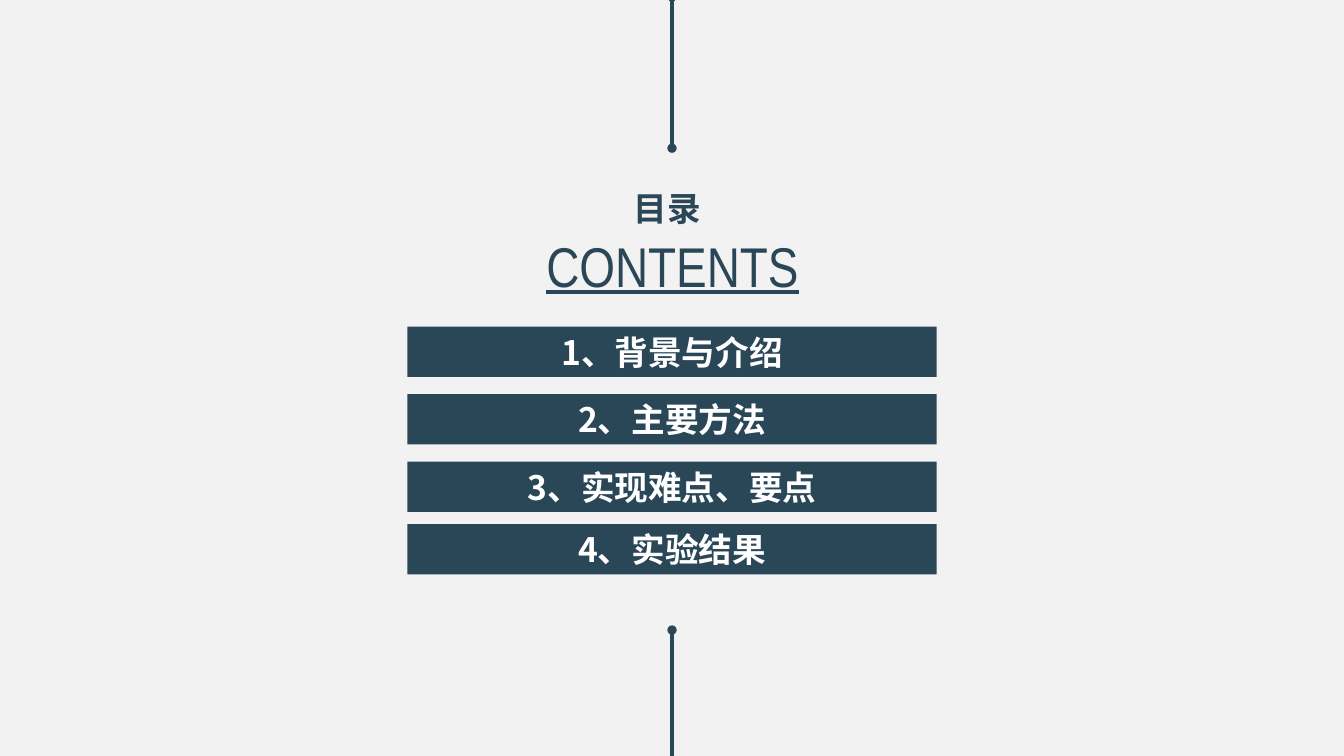
import lxml.etree
import pptx
import pptx.dml.color
import pptx.enum.shapes
import pptx.enum.text
import pptx.oxml.ns
import pptx.util

NAVY = pptx.dml.color.RGBColor(0x2A, 0x47, 0x58)
WHITE = pptx.dml.color.RGBColor(0xFF, 0xFF, 0xFF)
PALE = pptx.dml.color.RGBColor(0xF2, 0xF2, 0xF2)
CJK, LATIN = "Noto Sans CJK SC", "Arial Narrow"
WIDTH, HEIGHT = 13.33, 7.5
BAR_HEIGHT = 0.5
TOPICS = [
    (0, "1、背景与介绍"),
    (0.67, "2、主要方法"),
    (1.34, "3、实现难点、要点"),
    (1.96, "4、实验结果"),
]


def inches(*lengths):
    """Convert lengths in inches to slide units."""
    return [pptx.util.Inches(n) for n in lengths]


def add_node(parent, tag, **attributes):
    """Append a drawing element to the parent."""
    return lxml.etree.SubElement(parent, pptx.oxml.ns.qn(tag), **attributes)


def write(sp, text, size, face, color, bold=False, underline=False):
    """Fill a shape with one centred line of text."""
    tf = sp.text_frame
    tf.word_wrap = True
    p = tf.paragraphs[0]
    p.text = text
    p.alignment = pptx.enum.text.PP_ALIGN.CENTER
    font = p.font
    font.size = pptx.util.Pt(size)
    font.name = face
    font.bold = bold
    font.underline = underline
    font.color.rgb = color
    add_node(p._p.pPr.find(pptx.oxml.ns.qn("a:defRPr")), "a:ea", typeface=face)


def add_stem(slide, x, top, bottom):
    """Draw a vertical line with a dot at each end."""
    line = slide.shapes.add_connector(
        pptx.enum.shapes.MSO_CONNECTOR.STRAIGHT, *inches(x, top, x, bottom))
    line.line.color.rgb = NAVY
    line.line.width = pptx.util.Pt(2.25)
    ln = line.line._get_or_add_ln()
    for end in ("a:headEnd", "a:tailEnd"):
        add_node(ln, end, type="oval")
    add_node(line._element.spPr, "a:effectLst")


def add_heading(slide, left, top, width):
    """Place the Chinese title above its English counterpart."""
    small = slide.shapes.add_textbox(*inches(left + 0.93, top, 1.05, 0.5))
    write(small, "目录 ", 24, CJK, NAVY, bold=True)
    large = slide.shapes.add_textbox(*inches(left, top + 0.43, width, 0.77))
    write(large, "CONTENTS", 40, LATIN, NAVY, underline=True)


def add_topics(slide, left, top, width):
    """Stack one filled bar per topic."""
    for offset, topic in TOPICS:
        bar = slide.shapes.add_shape(
            pptx.enum.shapes.MSO_SHAPE.RECTANGLE,
            *inches(left, top + offset, width, BAR_HEIGHT))
        bar.shadow.inherit = False
        bar.fill.solid()
        bar.fill.fore_color.rgb = NAVY
        bar.line.fill.background()
        write(bar, topic, 24, CJK, WHITE, bold=True)


def add_contents_slide(prs):
    """Build the contents slide."""
    slide = prs.slides.add_slide(prs.slide_layouts[6])
    slide.background.fill.solid()
    slide.background.fill.fore_color.rgb = PALE
    add_stem(slide, WIDTH / 2, -0.03, 1.47)
    add_stem(slide, WIDTH / 2, 6.25, HEIGHT + 0.05)
    add_heading(slide, 5.2, 1.82, 2.94)
    add_topics(slide, 4.04, 3.24, 5.25)


def main():
    """Create and save the presentation."""
    prs = pptx.Presentation()
    prs.slide_width, prs.slide_height = inches(WIDTH, HEIGHT)
    add_contents_slide(prs)
    prs.save("out.pptx")


if __name__ == "__main__":
    main()
